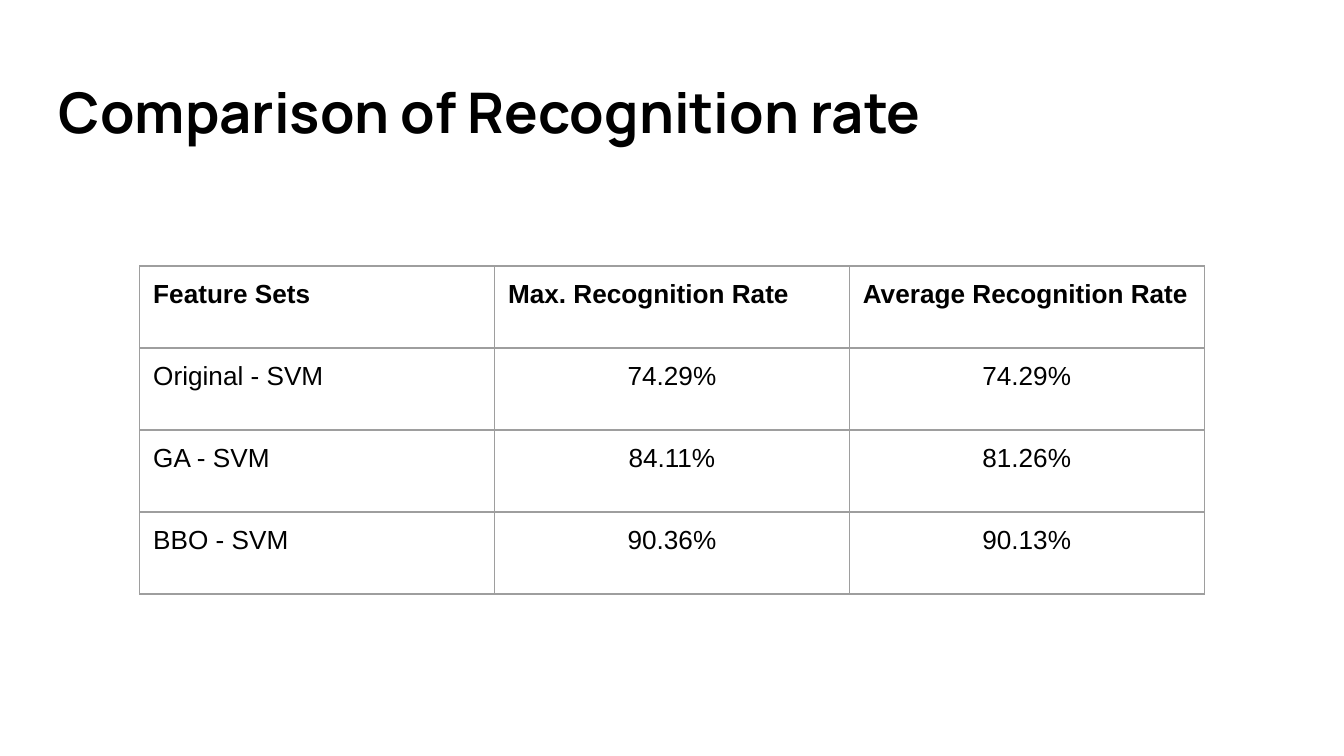
"""Build a slide comparing recognition rates across feature sets."""
import pptx
import pptx.dml.color
import pptx.enum.text
import pptx.oxml
import pptx.oxml.ns
import pptx.util
from pptx.util import Inches

TITLE = "Comparison of Recognition rate"
RATES = [
    ("Feature Sets", "Max. Recognition Rate", "Average Recognition Rate"),
    ("Original - SVM", "74.29%", "74.29%"),
    ("GA - SVM", "84.11%", "81.26%"),
    ("BBO - SVM", "90.36%", "90.13%"),
]
COLORS = {"text": "000000", "border": "9E9E9E"}
SLIDE_WIDTH = Inches(10)
SLIDE_HEIGHT = SLIDE_WIDTH * 9 // 16
COLUMN_WIDTH, ROW_HEIGHT, INSET = 2.64, 0.61, 0.1
BORDER_POINTS = 0.75


def write(paragraph, text, font, size, bold):
    run = paragraph.add_run()
    run.text = text
    run.font.name = font
    run.font.size = pptx.util.Pt(size)
    run.font.bold = bold
    run.font.color.rgb = pptx.dml.color.RGBColor.from_string(COLORS["text"])


def set_insets(holder):
    for side in ("left", "right", "top", "bottom"):
        setattr(holder, f"margin_{side}", Inches(INSET))


def add_borders(cell):
    properties = cell._tc.get_or_add_tcPr()
    for position, side in enumerate(("lnL", "lnR", "lnT", "lnB")):
        border = pptx.oxml.parse_xml(
            f'<a:{side} {pptx.oxml.ns.nsdecls("a")} w="{pptx.util.Pt(BORDER_POINTS)}">'
            f'<a:solidFill><a:srgbClr val="{COLORS["border"]}"/></a:solidFill></a:{side}>'
        )
        properties.insert(position, border)


def add_title(slide):
    title = slide.shapes.add_textbox(Inches(0.34), Inches(0.49), Inches(9.32), Inches(0.68))
    frame = title.text_frame
    frame.word_wrap = True
    frame.vertical_anchor = pptx.enum.text.MSO_ANCHOR.MIDDLE
    set_insets(frame)
    write(frame.paragraphs[0], TITLE, "Manrope", 30, True)


def add_rates(slide):
    rows, columns = len(RATES), len(RATES[0])
    rates = slide.shapes.add_table(
        rows, columns, Inches(1.04), Inches(1.98),
        Inches(COLUMN_WIDTH * columns), Inches(ROW_HEIGHT * rows),
    ).table
    rates.first_row = rates.horz_banding = False
    for r, values in enumerate(RATES):
        for c, value in enumerate(values):
            cell = rates.cell(r, c)
            set_insets(cell)
            cell.fill.background()
            add_borders(cell)
            paragraph = cell.text_frame.paragraphs[0]
            if r and c:
                paragraph.alignment = pptx.enum.text.PP_ALIGN.CENTER
            write(paragraph, value, "Arial", 14, r == 0)


def main():
    deck = pptx.Presentation()
    deck.slide_width, deck.slide_height = SLIDE_WIDTH, SLIDE_HEIGHT
    slide = deck.slides.add_slide(deck.slide_layouts[6])
    add_title(slide)
    add_rates(slide)
    deck.save("out.pptx")


if __name__ == "__main__":
    main()
